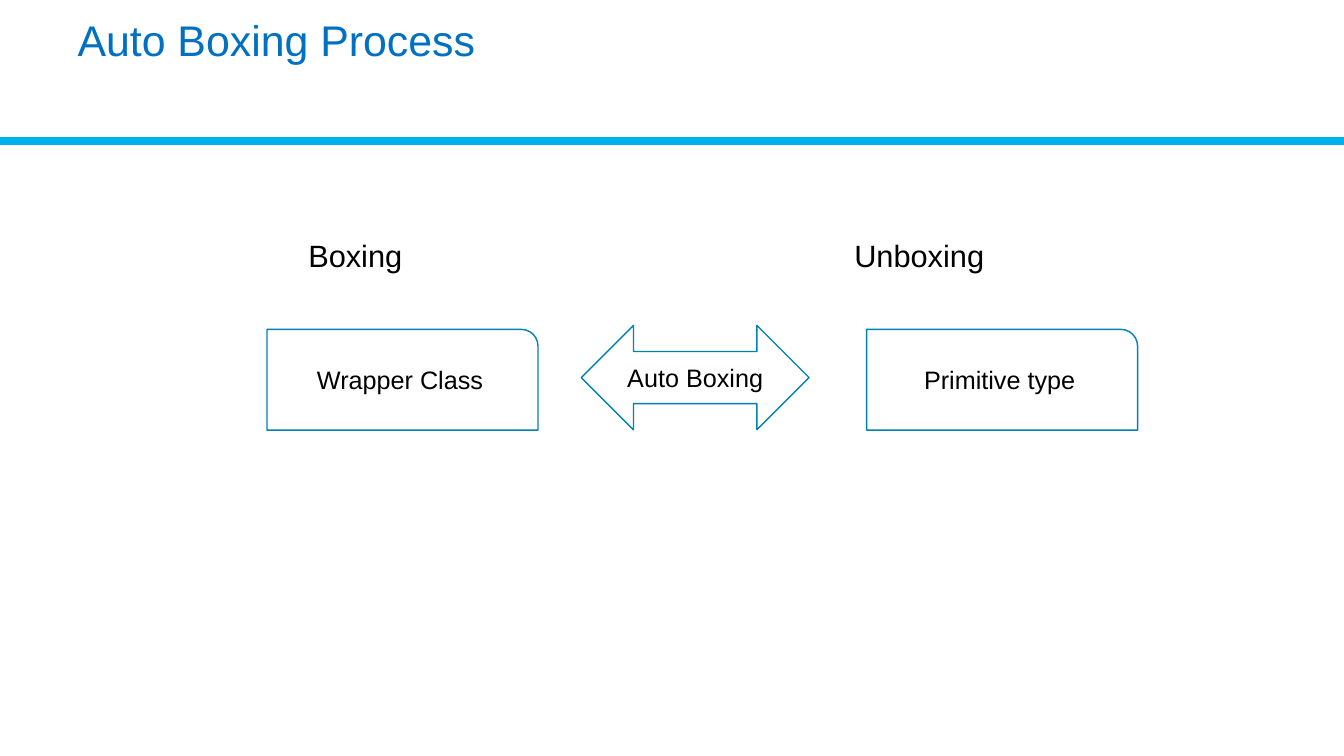
from dataclasses import dataclass

from lxml.etree import SubElement
from pptx import Presentation
from pptx.dml.color import RGBColor
from pptx.enum.shapes import MSO_CONNECTOR, MSO_SHAPE
from pptx.enum.text import MSO_ANCHOR, PP_ALIGN
from pptx.oxml.ns import qn
from pptx.util import Cm, Pt


@dataclass(frozen=True)
class Theme:
    font: str = "Arial"
    title_color: RGBColor = RGBColor(0x00, 0x70, 0xC0)
    text_color: RGBColor = RGBColor(0x00, 0x00, 0x00)
    rule_color: RGBColor = RGBColor(0x00, 0xB0, 0xEA)
    outline_color: RGBColor = RGBColor(0x00, 0x82, 0xAD)
    title_size: float = 30.6
    label_size: float = 22
    shape_size: float = 18
    rule_width: float = 6
    outline_width: float = 1


THEME = Theme()


def write_text(shape, text, size, color, alignment, anchor=MSO_ANCHOR.MIDDLE):
    frame = shape.text_frame
    frame.word_wrap = True
    frame.vertical_anchor = anchor
    paragraph = frame.paragraphs[0]
    paragraph.text = text
    paragraph.alignment = alignment
    paragraph.font.name = THEME.font
    paragraph.font.size = Pt(size)
    paragraph.font.color.rgb = color
    return paragraph


def place_title(slide, text):
    title = slide.shapes.title
    title.left, title.top = Cm(1.7), Cm(0.36)
    title.width, title.height = Cm(30.53), Cm(2.82)
    paragraph = write_text(title, text, THEME.title_size, THEME.title_color,
                           PP_ALIGN.LEFT, MSO_ANCHOR.TOP)
    paragraph.line_spacing = 0.9


def add_rule(slide, top, width):
    rule = slide.shapes.add_connector(MSO_CONNECTOR.STRAIGHT, 0, top, width, top)
    rule.line.color.rgb = THEME.rule_color
    rule.line.width = Pt(THEME.rule_width)
    SubElement(rule.element.spPr, qn("a:effectLst"))


def add_label(slide, text, left):
    label = slide.shapes.add_textbox(left, Cm(5.83), Cm(4.5), Cm(1.2))
    write_text(label, text, THEME.label_size, THEME.text_color, PP_ALIGN.LEFT)


def add_outlined_shape(slide, kind, text, left, top, width, height):
    shape = slide.shapes.add_shape(kind, left, top, width, height)
    shape.shadow.inherit = False
    shape.fill.background()
    shape.line.color.rgb = THEME.outline_color
    shape.line.width = Pt(THEME.outline_width)
    write_text(shape, text, THEME.shape_size, THEME.text_color, PP_ALIGN.CENTER)


def main():
    presentation = Presentation()
    presentation.slide_width = Cm(33.87)
    presentation.slide_height = Cm(19.05)
    slide = presentation.slides.add_slide(presentation.slide_layouts[5])

    add_rule(slide, Cm(3.56), presentation.slide_width)
    place_title(slide, "Auto Boxing Process")
    for text, left in (("Boxing", 7.52), ("Unboxing", 21.28)):
        add_label(slide, text, Cm(left))
    for text, left in (("Wrapper Class", 6.73), ("Primitive type", 21.84)):
        add_outlined_shape(slide, MSO_SHAPE.ROUND_1_RECTANGLE, text,
                           Cm(left), Cm(8.3), Cm(6.83), Cm(2.54))
    add_outlined_shape(slide, MSO_SHAPE.LEFT_RIGHT_ARROW, "Auto Boxing",
                       Cm(14.65), Cm(8.2), Cm(5.74), Cm(2.63))

    presentation.save("out.pptx")


if __name__ == "__main__":
    main()
